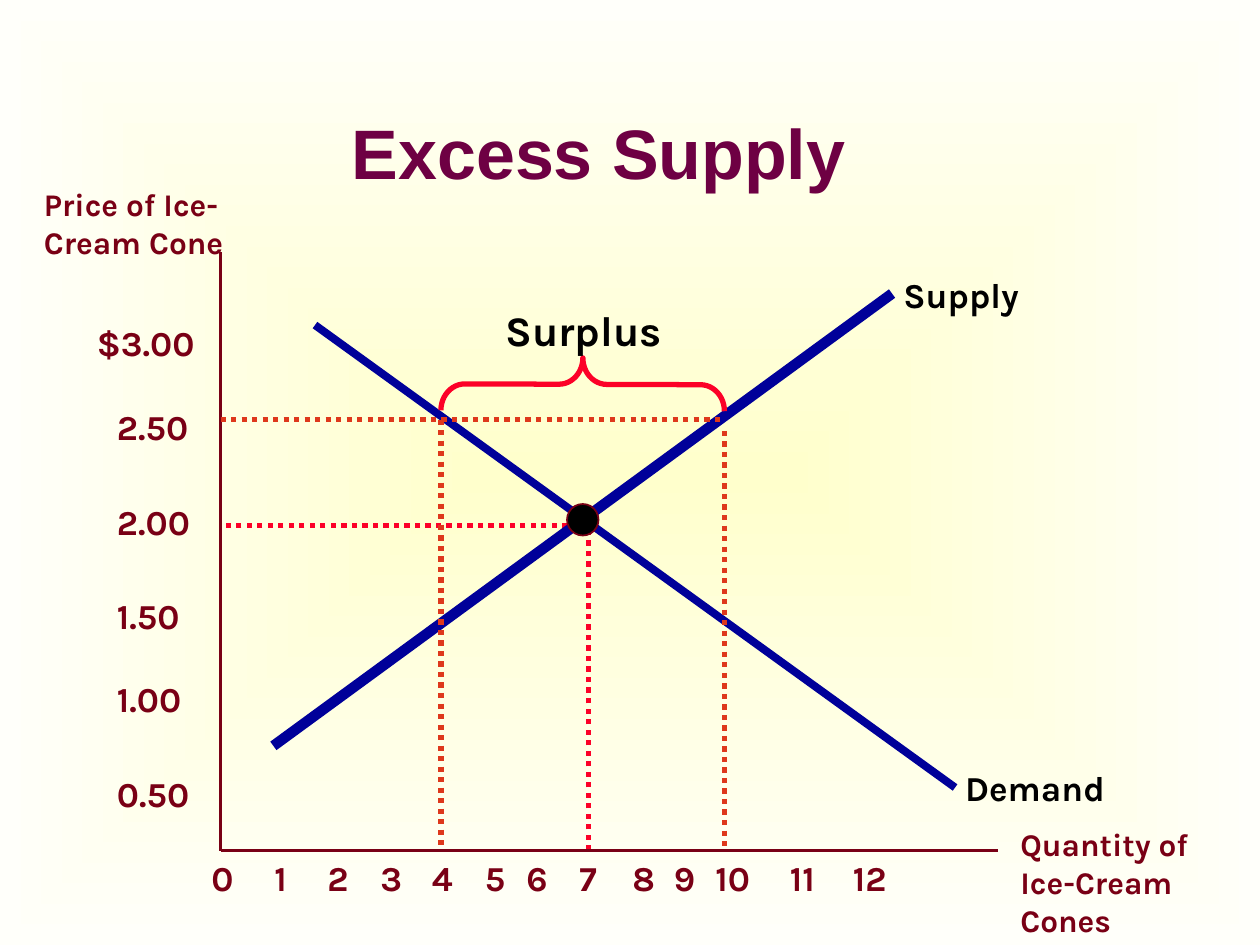
from pptx import Presentation
from pptx import util as u
from pptx.dml.color import RGBColor
from pptx.enum import dml, shapes, text
from pptx.oxml import parse_xml
from pptx.oxml.ns import nsdecls, qn

THEME = {
    "ink": "000000", "axis": "790015", "curve": "000099", "title": "6E0043",
    "equilibrium": "FC0128", "surplus": "DE381C", "bg": ("FFFFCC", "FFFFFA"),
    "font": "Karla", "title_font": "Arial",
    "caption": 18, "label": 20, "big": 24, "heading": 40,
}
X0, Y0 = 1.75, 6.75
LOW_Q, HIGH_Q, SURPLUS_PRICE = 3.5, 5.75, 3.33
EQ_Q, EQ_PRICE = 4.67, 4.17

TITLE = "Excess Supply"
GUIDES = [
    ((EQ_Q, EQ_PRICE), (X0, EQ_PRICE), "equilibrium"),
    ((EQ_Q, Y0), (EQ_Q, EQ_PRICE), "equilibrium"),
    ((X0, SURPLUS_PRICE), (HIGH_Q, SURPLUS_PRICE), "surplus"),
    ((LOW_Q, SURPLUS_PRICE), (LOW_Q, Y0), "surplus"),
    ((HIGH_Q, 3.42), (HIGH_Q, Y0), "surplus"),
]
SOLID_LINES = [
    ((X0, 2), (X0, Y0), "axis", 2.25),
    ((X0, Y0), (7.92, Y0), "axis", 2.25),
    ((2.17, 5.92), (7.08, 2.33), "curve", 6),
    ((2.5, 2.58), (7.58, 6.25), "curve", 4.5),
]
CAPTIONS = [("Price of Ice-Cream Cone", 0.25, 1.42),
            ("Quantity of Ice-Cream Cones", 8, 6.5)]
QUANTITY_LEFTS = [1.58, 2.08, 2.5, 2.92, 3.33, 3.75, 4.08, 4.5, 4.92,
                  5.25, 5.58, 6.17, 6.67]
PRICES = [("$3.00", 2.5), ("2.50", 3.17), ("2.00", 3.92),
          ("1.50", 4.67), ("1.00", 5.33), ("0.50", 6.08)]
NAMES = [("Supply", 7.17, 2.17, 0.93, 0.33, "label"),
         ("Demand", 7.66, 6.08, 1.17, 0.33, "label"),
         ("Surplus", 4.01, 2.42, 1.25, 0.4, "big")]


def rgb(name):
    return RGBColor.from_string(THEME[name])


def inches(*values):
    return [u.Inches(v) for v in values]


def style(p, size, color, font="font"):
    p.font.name, p.font.size, p.font.bold = THEME[font], u.Pt(THEME[size]), True
    p.font.color.rgb = rgb(color)


def add_line(s, start, end, color, width, dotted=False):
    ln = s.shapes.add_connector(shapes.MSO_CONNECTOR.STRAIGHT, *inches(*start, *end))
    ln.line.color.rgb, ln.line.width = rgb(color), u.Pt(width)
    if dotted:
        ln.line.dash_style = dml.MSO_LINE.ROUND_DOT
    ln._element.spPr.append(parse_xml(f"<a:effectLst {nsdecls('a')}/>"))


def add_text(s, words, box, size, color="axis", before=0, inset=True):
    tf = s.shapes.add_textbox(*inches(*box)).text_frame
    tf.word_wrap = inset
    tf.auto_size = text.MSO_AUTO_SIZE.SHAPE_TO_FIT_TEXT
    if not inset:
        tf.margin_left = tf.margin_right = tf.margin_top = tf.margin_bottom = 0
    p = tf.paragraphs[0]
    p.text, p.space_before = words, u.Pt(before)
    style(p, size, color)


def set_background(s):
    fill = s.background.fill
    fill.gradient()
    for stop, color in zip(fill.gradient_stops, THEME["bg"]):
        stop.color.rgb = RGBColor.from_string(color)
    grad = next(s._element.iter(qn("a:gradFill")))
    grad.replace(grad.find(qn("a:lin")), parse_xml(
        f'<a:path {nsdecls("a")} path="rect">'
        '<a:fillToRect l="50000" t="50000" r="50000" b="50000"/></a:path>'))


def add_title(s):
    title = s.shapes.title
    title.left, title.top, title.width, title.height = inches(0.5, 0.58, 8.5, 1.25)
    tf = title.text_frame
    tf.text, tf.vertical_anchor = TITLE, text.MSO_ANCHOR.MIDDLE
    tf.paragraphs[0].alignment = text.PP_ALIGN.CENTER
    style(tf.paragraphs[0], "heading", "title", "title_font")


def add_equilibrium(s):
    dot = s.shapes.add_shape(shapes.MSO_SHAPE.OVAL, *inches(4.5, 4, 0.25, 0.25))
    dot.shadow.inherit = False
    dot.fill.solid()
    dot.fill.fore_color.rgb = rgb("ink")
    dot.line.color.rgb, dot.line.width = rgb("axis"), u.Pt(1)


def add_brace(s):
    length, depth, middle = HIGH_Q - LOW_Q, 0.42, 3.05
    left = (LOW_Q + HIGH_Q - depth) / 2
    brace = s.shapes.add_shape(shapes.MSO_SHAPE.LEFT_BRACE,
                               *inches(left, middle - length / 2, depth, length))
    brace.rotation = 90.2
    brace.adjustments[0] = 0.45
    brace.shadow.inherit = False
    brace.fill.background()
    brace.line.color.rgb, brace.line.width = rgb("equilibrium"), u.Pt(3)


def main():
    """Build the excess supply diagram slide."""
    prs = Presentation()
    prs.slide_width, prs.slide_height = inches(10, 7.5)
    s = prs.slides.add_slide(prs.slide_layouts[5])
    set_background(s)
    add_title(s)
    for start, end, color in GUIDES[:2]:
        add_line(s, start, end, color, 3, dotted=True)
    for line in SOLID_LINES:
        add_line(s, *line)
    for words, x, y in CAPTIONS:
        add_text(s, words, (x, y, 1.67, 1), "caption", before=11.2)
    for n, x in enumerate(QUANTITY_LEFTS):
        add_text(s, str(n), (x, Y0, 0.5 if n < 9 else 0.58, 0.44), "label", before=12.5)
    for words, y in PRICES:
        x = 0.67 if words.startswith("$") else 0.83
        add_text(s, words, (x, y, 1.67 - x, 0.44), "label", before=12.5)
    add_equilibrium(s)
    for start, end, color in GUIDES[2:]:
        add_line(s, start, end, color, 3, dotted=True)
    add_brace(s)
    for words, *box, size in NAMES:
        add_text(s, words, box, size, "ink", inset=False)
    prs.save("out.pptx")


if __name__ == "__main__":
    main()
